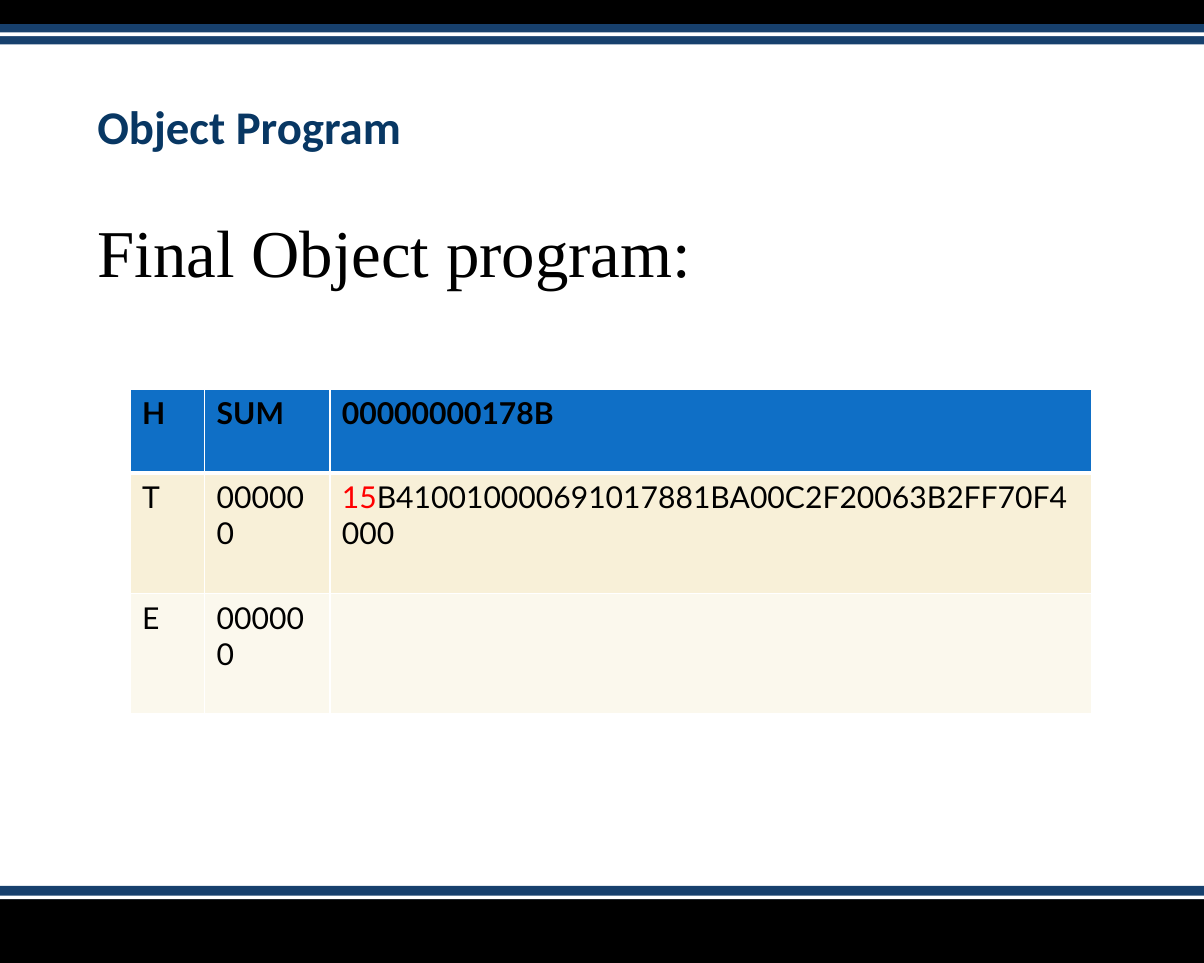
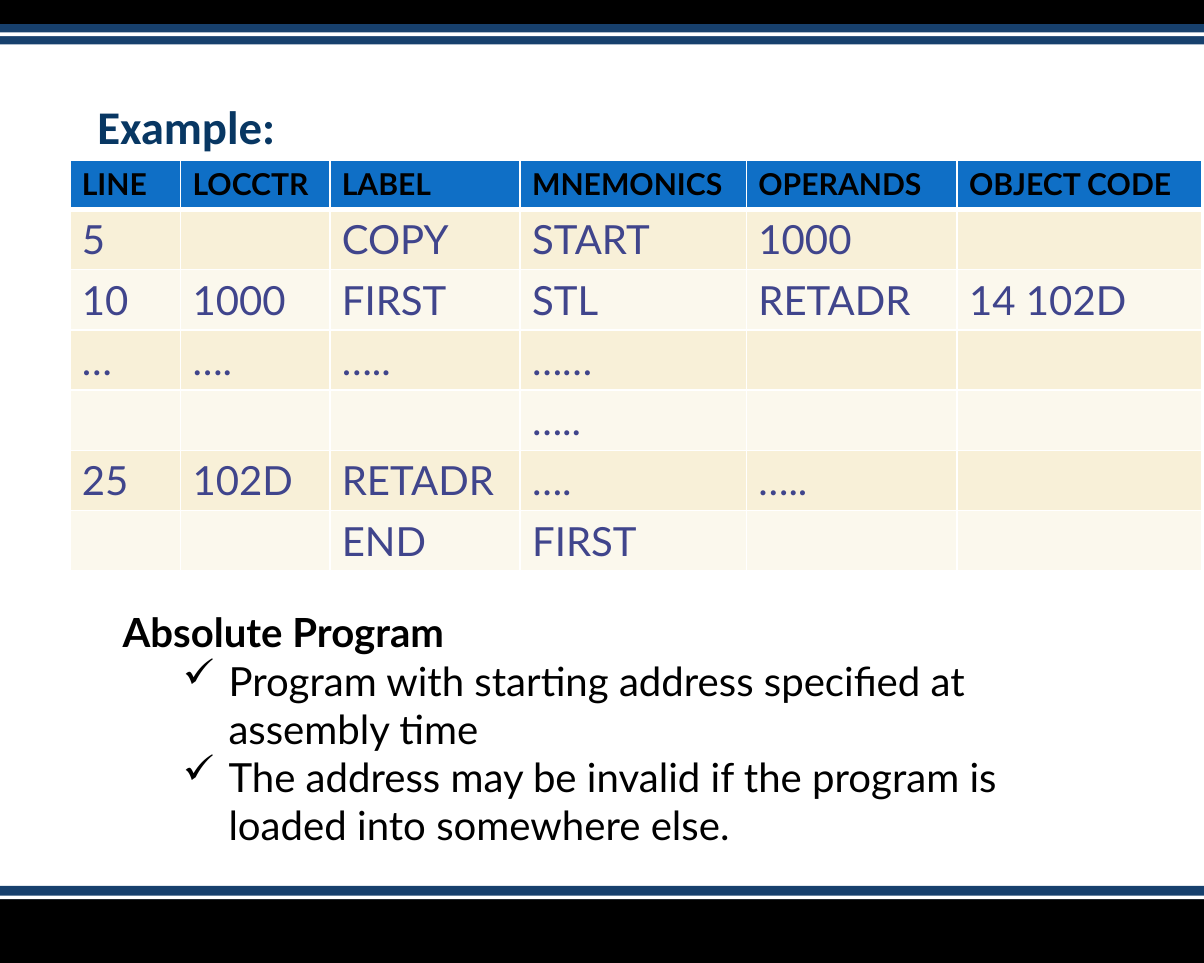
from lxml.etree import SubElement
from pptx import Presentation
from pptx.dml.color import RGBColor
from pptx.enum.shapes import MSO_SHAPE as Shape
from pptx.enum.text import MSO_ANCHOR as Anchor
from pptx.oxml.ns import qn
from pptx.util import Inches, Pt

# Shared look
BLACK, WHITE, NAVY, RED, INDIGO = "000000", "FFFFFF", "17406D", "FF0000", "40458C"
HEADER_FILL, ROW_FILLS = "0F6FC6", ("F8F0D8", "FBF8ED")
BANDS = [  # top, height, colour
    (7.47, 0.53, BLACK), (7.36, 0.11, NAVY), (7.44, 0.03, WHITE),
    (0, 0.2, BLACK), (0.2, 0.17, NAVY), (0.27, 0.03, WHITE),
]
TITLE = dict(name="Calibri", size=Pt(28), bold=True, color="083763")
HEADING = dict(name="Times New Roman", size=Pt(40), bold=False, color=BLACK)
HEADER = dict(name="Lato", size=Pt(18), bold=True, color=BLACK)
CELL = HEADER | dict(bold=False)
BIG_CELL = CELL | dict(size=Pt(24), color=INDIGO)
NOTE = CELL | dict(size=Pt(24))

# Slide content
RECORD_COLS = [0.62, 1.04, 6.33]
RECORD_ROWS = [
    ["H", "SUM", "00000000178B"],
    ["T", "000000", [("15", RED), ("B410010000691017881BA00C2F20063B2FF70F4000", BLACK)]],
    ["E", "000000", ""],
]
LISTING_COLS = [0.92, 1.24, 1.58, 1.88, 1.75, 2.03]
LISTING_ROWS = [
    ["LINE", "LOCCTR", "LABEL", "MNEMONICS", "OPERANDS", "OBJECT CODE"],
    ["5", "", "COPY", "START", "1000", ""],
    ["10", "1000", "FIRST", "STL", "RETADR", "14 102D"],
    ["…", "….", "…..", "……", "", ""],
    ["", "", "", "…..", "", ""],
    ["25", "102D", "RETADR", "….", "…..", ""],
    ["", "", "END", "FIRST", "", ""],
]
PROGRAM_NOTES = [
    "Program with starting address specified at assembly time",
    "The address may be invalid if the program is loaded into somewhere else.",
]


def rgb(value):
    return RGBColor.from_string(value)


def add_span(para, text, style):
    span = para.add_run()
    span.text = text
    for key, value in style.items():
        if key == "color":
            span.font.color.rgb = rgb(value)
        else:
            setattr(span.font, key, value)


def add_box(page, left, top, width, height, anchor=Anchor.TOP):
    box = page.shapes.add_textbox(*map(Inches, (left, top, width, height)))
    frame = box.text_frame
    frame.word_wrap = True
    frame.vertical_anchor = anchor
    return frame


def add_line(page, area, text, style, anchor=Anchor.TOP):
    para = add_box(page, *area, anchor).paragraphs[0]
    para.line_spacing = 0.9
    add_span(para, text, style)


def add_page(deck, title):
    page = deck.slides.add_slide(deck.slide_layouts[6])
    for top, height, color in BANDS:
        band = page.shapes.add_shape(
            Shape.RECTANGLE, 0, Inches(top), deck.slide_width, Inches(height))
        band.shadow.inherit = False
        band.fill.solid()
        band.fill.fore_color.rgb = rgb(color)
        band.line.fill.background()
    add_line(page, (0.71, 0.57, 8.58, 0.76), title, TITLE, Anchor.BOTTOM)
    return page


def add_borders(cell, top, bottom):
    props = cell._tc.get_or_add_tcPr()
    for side, points in dict(L=1, R=1, T=top, B=bottom).items():
        line = SubElement(props, qn(f"a:ln{side}"), w=str(Pt(points)))
        fill = SubElement(line, qn("a:solidFill"))
        SubElement(fill, qn("a:srgbClr"), val=WHITE)


def add_grid(page, left, top, col_widths, row_heights, rows, body_style):
    frame = page.shapes.add_table(
        len(rows), len(col_widths), Inches(left), Inches(top),
        Inches(sum(col_widths)), Inches(sum(row_heights)))
    table = frame.table
    table.horz_banding = False
    for column, width in zip(table.columns, col_widths):
        column.width = Inches(width)
    for r, (height, values) in enumerate(zip(row_heights, rows)):
        table.rows[r].height = Inches(height)
        style = body_style if r else HEADER
        for c, value in enumerate(values):
            cell = table.cell(r, c)
            # The rule below the header is thick
            add_borders(cell, top=3 if r == 1 else 1, bottom=1 if r else 3)
            cell.fill.solid()
            cell.fill.fore_color.rgb = rgb(ROW_FILLS[(r - 1) % 2] if r else HEADER_FILL)
            spans = [(value, style["color"])] if isinstance(value, str) else value
            for text, color in spans:
                if text:
                    add_span(cell.text_frame.paragraphs[0], text, style | dict(color=color))


def add_checklist(page, area, heading, items):
    frame = add_box(page, *area)
    add_span(frame.paragraphs[0], heading, NOTE | dict(bold=True))
    for item in items:
        para = frame.add_paragraph()
        para.level = 1
        props = para._p.get_or_add_pPr()
        props.set("marL", str(Inches(0.88)))
        props.set("indent", str(Inches(-0.38)))
        SubElement(props, qn("a:buChar"), char="✓")
        add_span(para, item, NOTE)


def main():
    deck = Presentation()
    deck.slide_width, deck.slide_height = Inches(10), Inches(8)

    # Object program records
    page = add_page(deck, "Object Program")
    add_line(page, (0.71, 1.78, 8.58, 5.24), "Final Object program:", HEADING)
    add_grid(page, 1.08, 3.23, RECORD_COLS, [0.7, 1, 1], RECORD_ROWS, CELL)

    # Assembly listing and notes
    page = add_page(deck, "Example:")
    add_grid(page, 0.58, 1.33, LISTING_COLS, [0.41] + [0.5] * 6, LISTING_ROWS, BIG_CELL)
    add_checklist(page, (0.92, 5, 8.5, 2.12), "Absolute Program", PROGRAM_NOTES)

    deck.save("out.pptx")


if __name__ == "__main__":
    main()
